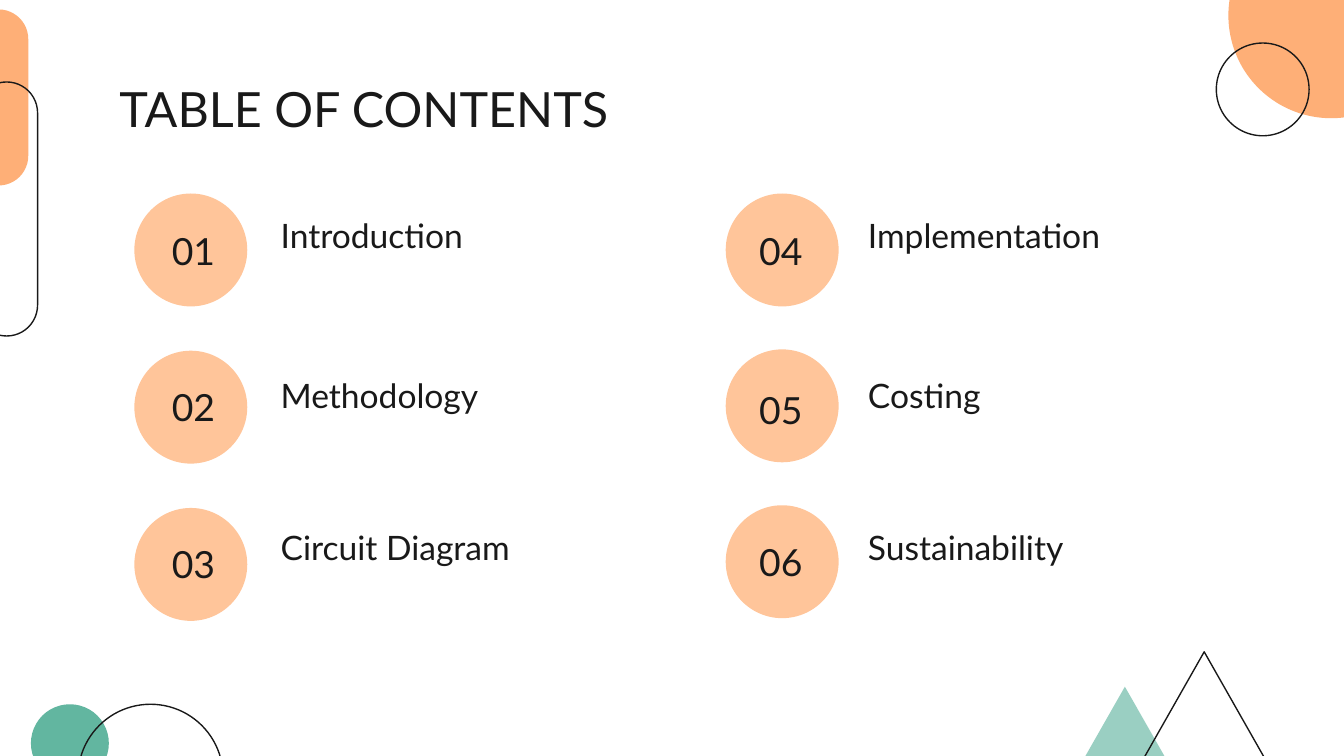
from dataclasses import dataclass

from pptx import Presentation
from pptx.dml.color import RGBColor
from pptx.enum import shapes, text
from pptx.util import Inches, Pt


@dataclass(frozen=True)
class Theme:
    font: str = "Lato"
    ink: str = "191919"
    paper: str = "FFFFFF"
    orange: str = "FEAF77"
    peach: str = "FFC59A"
    mint: str = "9ACFC2"
    green: str = "62B6A0"
    title_size: int = 26
    number_size: int = 20
    topic_size: int = 18
    outline: float = 0.75


SLIDE_WIDTH = 10
SLIDE_HEIGHT = SLIDE_WIDTH * 9 / 16

OVAL = shapes.MSO_SHAPE.OVAL
PILL = shapes.MSO_SHAPE.ROUNDED_RECTANGLE
TRIANGLE = shapes.MSO_SHAPE.ISOSCELES_TRIANGLE

# kind, left, top, width, height, theme fill (None: outline only)
DECORATIONS = [
    (OVAL, 9.14, -0.65, 1.53, 1.53, "orange"),
    (OVAL, 9.05, 0.32, 0.69, 0.69, None),
    (PILL, -0.23, 0.07, 0.44, 1.31, "orange"),
    (PILL, -0.18, 0.61, 0.46, 1.89, None),
    (TRIANGLE, 7.88, 5.11, 0.98, 0.86, "mint"),
    (TRIANGLE, 8.25, 4.85, 1.42, 1.25, None),
    (OVAL, 0.23, 5.24, 0.58, 0.58, "green"),
    (OVAL, 0.58, 5.24, 1.08, 1.08, None),
]

# Per column: disc left, disc pitch, number left, number tops, topic left, topics
COLUMNS = [
    (1.0, 1.17, 1.04, (1.62, 2.78, 3.95), 1.99,
     ("Introduction", "Methodology", "Circuit Diagram")),
    (5.4, 1.16, 5.41, (1.62, 2.8, 3.93), 6.36,
     ("Implementation", "Costing", "Sustainability")),
]
TOPIC_TOPS = (1.5, 2.69, 3.82)
DISC_TOP = 1.44
DISC_SIZE = 0.84


class SlideBuilder:
    def __init__(self, slide, theme):
        self.slide = slide
        self.theme = theme

    def background(self):
        fill = self.slide.background.fill
        fill.solid()
        fill.fore_color.rgb = RGBColor.from_string(self.theme.paper)

    def figure(self, kind, left, top, width, height, color=None):
        """Draw a filled shape, or an outlined one when no color is given."""
        figure = self.slide.shapes.add_shape(
            kind, Inches(left), Inches(top), Inches(width), Inches(height))
        figure.shadow.inherit = False
        if kind == PILL:
            figure.adjustments[0] = 0.5
        if color:
            figure.fill.solid()
            figure.fill.fore_color.rgb = RGBColor.from_string(color)
            figure.line.fill.background()
        else:
            figure.fill.background()
            figure.line.color.rgb = RGBColor.from_string(self.theme.ink)
            figure.line.width = Pt(self.theme.outline)

    def label(self, words, left, top, width, height, size, centred=False):
        box = self.slide.shapes.add_textbox(
            Inches(left), Inches(top), Inches(width), Inches(height))
        frame = box.text_frame
        frame.word_wrap = True
        frame.margin_left = frame.margin_right = Inches(0.1)
        frame.margin_top = frame.margin_bottom = Inches(0.1)
        paragraph = frame.paragraphs[0]
        if centred:
            frame.vertical_anchor = text.MSO_ANCHOR.MIDDLE
            paragraph.alignment = text.PP_ALIGN.CENTER
        else:
            frame.vertical_anchor = text.MSO_ANCHOR.TOP
            paragraph.alignment = text.PP_ALIGN.LEFT
        run = paragraph.add_run()
        run.text = words
        run.font.name = self.theme.font
        run.font.size = Pt(size)
        run.font.color.rgb = RGBColor.from_string(self.theme.ink)


def main():
    deck = Presentation()
    deck.slide_width = Inches(SLIDE_WIDTH)
    deck.slide_height = Inches(SLIDE_HEIGHT)
    theme = Theme()
    builder = SlideBuilder(deck.slides.add_slide(deck.slide_layouts[6]), theme)

    builder.background()
    for *placement, fill in DECORATIONS:
        builder.figure(*placement, color=getattr(theme, fill) if fill else None)

    builder.label("TABLE OF CONTENTS", 0.79, 0.49, 8.43, 0.63, theme.title_size)

    number = 1
    for disc_left, pitch, number_left, number_tops, topic_left, topics in COLUMNS:
        for row, topic in enumerate(topics):
            builder.figure(OVAL, disc_left, DISC_TOP + row * pitch,
                           DISC_SIZE, DISC_SIZE, theme.peach)
            builder.label(f"{number:02}", number_left, number_tops[row], 0.8, 0.49,
                          theme.number_size, centred=True)
            builder.label(topic, topic_left, TOPIC_TOPS[row], 2.6, 0.71,
                          theme.topic_size)
            number += 1

    deck.save("out.pptx")


if __name__ == "__main__":
    main()
